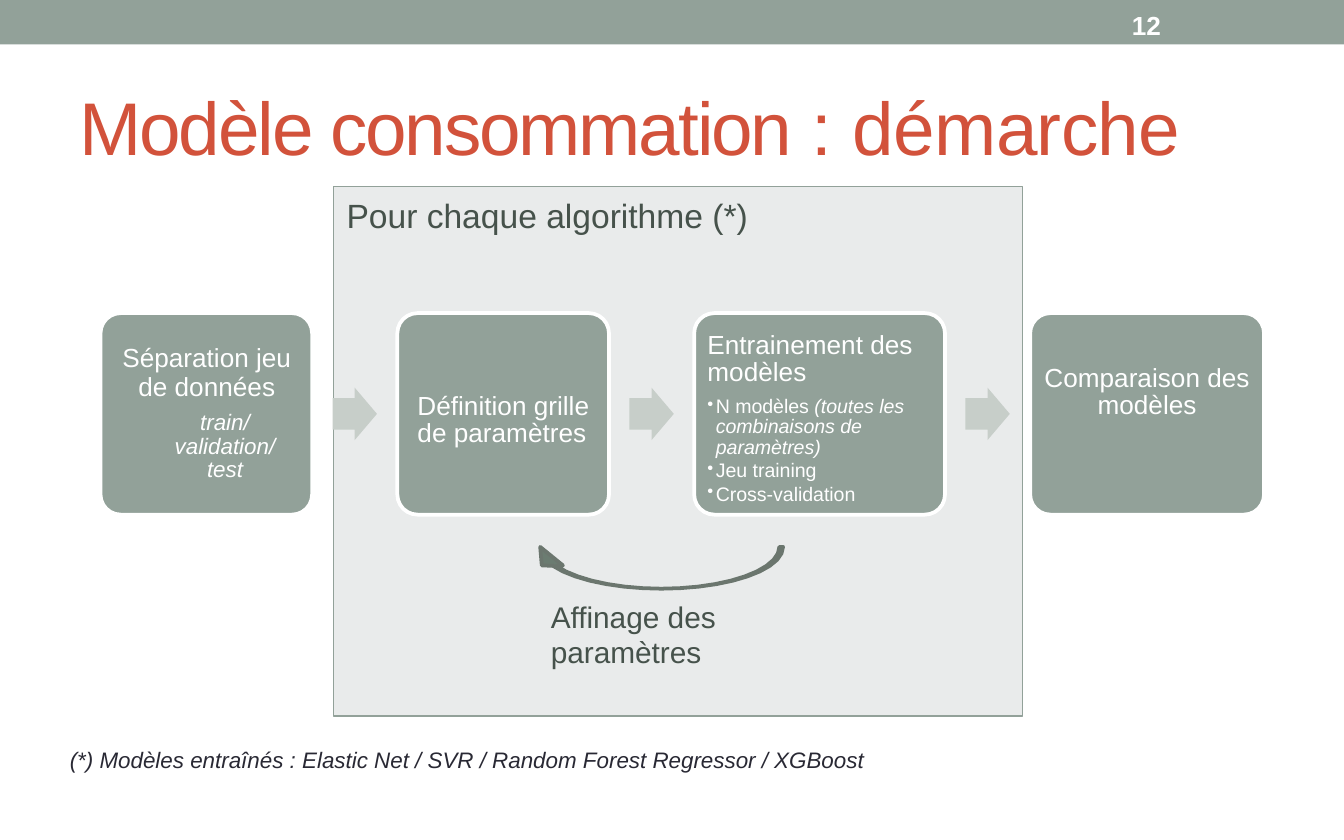
"""Builds the slide on the modelling steps for consumption."""
from math import cos, radians, sin

from lxml import etree
from pptx import Presentation
from pptx import util as u
from pptx.dml.color import RGBColor
from pptx.enum import shapes, text
from pptx.oxml.ns import qn

FONT = "Arial"
SAGE, PALE, ARROW, WHITE = "92A199", "E9EBEB", "C7CEC9", "FFFFFF"
LOOP, LOOP_EDGE, RED, DARK, INK = "6B7C71", "6B766E", "D2523B", "46524B", "292934"
CENTER = text.PP_ALIGN.CENTER

TITLE = [("Modèle consommation ", {"spacing": -1.1}), (": ", {}),
         ("démarche", {"spacing": -0.3})]

LABELS = [
    ((1.5, 1.47, 21.49, 2.69), [dict(runs=TITLE, size=40, color=RED)]),
    ((21.39, 0.11, 0.75, 0.63), [dict(runs=["12"], size=14, bold=True)]),
    ((10.41, 11.25, 3.94, 1.4),
     [dict(runs=["Affinage des paramètres"], size=16, color=DARK)]),
    ((6.55, 3.63, 8.5, 0.79),
     [dict(runs=["Pour chaque algorithme (*)"], size=18, color=DARK)]),
    ((1.32, 14.05, 20.19, 0.53),
     [dict(runs=["(*) Modèles entraînés : Elastic Net / SVR / "
                 "Random Forest Regressor / XGBoost"],
           size=12, color=INK, italic=True)]),
]

STEPS = [
    dict(width=4.0, insets=(0.27, 0.46, 0.25), paragraphs=[
        dict(runs=["Séparation jeu"], size=14, line=u.Pt(15.7), align=CENTER),
        dict(runs=["de données"], size=14, line=u.Pt(15.7), align=CENTER),
        dict(runs=["train/ validation/ test"], size=12, italic=True,
             line=0.86, before=5.6, align=CENTER, margin=0.69)]),
    dict(width=4.0, insets=(0.27, 1.41, 0.2), paragraphs=[
        dict(runs=["Définition grille de paramètres"], size=14, line=u.Pt(14.5))]),
    dict(width=4.74, insets=(0.14, 0.26, 0.45), paragraphs=[
        dict(runs=["Entrainement des modèles"], size=14, line=u.Pt(14.5)),
        dict(runs=["N modèles ",
                   ("(toutes les combinaisons de paramètres)", {"italic": True})],
             size=10.5, line=0.86, before=5.7, bullet=True),
        dict(runs=["Jeu training"], size=10.5, bullet=True),
        dict(runs=["Cross-validation"], size=10.5, bullet=True)]),
    dict(width=4.42, insets=(0.12, 0.89, 0.12), paragraphs=[
        dict(runs=["Comparaison des modèles"], size=14, line=0.86, align=CENTER)]),
]

STEP_LEFT, STEP_TOP, STEP_HEIGHT, STEP_GAP = 1.9, 5.92, 3.81, 1.61
ARROW_WIDTH, ARROW_HEIGHT = 0.84, 0.99
LOOP_X, LOOP_Y, LOOP_DEPTH, LOOP_OUTER, LOOP_INNER = 12.5, 10.34, 0.79, 2.3, 2.23
LOOP_HEAD = [(10.24, 10.69), (10.21, 10.34), (10.64, 10.69)]


def rgb(color):
    return RGBColor.from_string(color)


def paint(shape, fill, line=None, weight=0.75):
    shape.shadow.inherit = False
    shape.fill.solid()
    shape.fill.fore_color.rgb = rgb(fill)
    if line:
        shape.line.color.rgb = rgb(line)
        shape.line.width = u.Pt(weight)
    else:
        shape.line.fill.background()


def add_bullet(paragraph):
    props = paragraph._p.get_or_add_pPr()
    props.set("marL", str(u.Cm(0.16)))
    props.set("indent", str(u.Cm(-0.16)))
    tint = etree.SubElement(props, qn("a:buClr"))
    etree.SubElement(tint, qn("a:srgbClr"), val=WHITE)
    etree.SubElement(props, qn("a:buSzPct"), val="90000")
    etree.SubElement(props, qn("a:buChar"), char="•")


def write(frame, paragraphs, insets):
    frame.word_wrap = True
    frame.vertical_anchor = text.MSO_ANCHOR.TOP
    frame.margin_left, frame.margin_top, frame.margin_right = map(u.Cm, insets)
    frame.margin_bottom = 0
    for i, content in enumerate(paragraphs):
        paragraph = frame.add_paragraph() if i else frame.paragraphs[0]
        if content.get("bullet"):
            add_bullet(paragraph)
        if "margin" in content:
            paragraph._p.get_or_add_pPr().set("marL", str(u.Cm(content["margin"])))
        paragraph.alignment = content.get("align", text.PP_ALIGN.LEFT)
        if "line" in content:
            paragraph.line_spacing = content["line"]
        if "before" in content:
            paragraph.space_before = u.Pt(content["before"])
        font = paragraph.font
        font.name, font.size = FONT, u.Pt(content["size"])
        font.bold, font.italic = content.get("bold"), content.get("italic")
        font.color.rgb = rgb(content.get("color", WHITE))
        for part in content["runs"]:
            words, look = (part, {}) if isinstance(part, str) else part
            run = paragraph.add_run()
            run.text = words
            if "italic" in look:
                run.font.italic = look["italic"]
            if "spacing" in look:
                run._r.get_or_add_rPr().set("spc", str(round(look["spacing"] * 100)))


def add_block(slide, kind, box, fill, line=None, weight=0.75):
    block = slide.shapes.add_shape(kind, *map(u.Cm, box))
    paint(block, fill, line, weight)
    return block


def add_steps(slide):
    left = STEP_LEFT
    for i, step in enumerate(STEPS):
        if i:
            arrow = add_block(
                slide, shapes.MSO_SHAPE.RIGHT_ARROW,
                (left - (STEP_GAP + ARROW_WIDTH) / 2,
                 STEP_TOP + (STEP_HEIGHT - ARROW_HEIGHT) / 2,
                 ARROW_WIDTH, ARROW_HEIGHT), ARROW)
            arrow.adjustments[0] = 0.6
        card = add_block(slide, shapes.MSO_SHAPE.ROUNDED_RECTANGLE,
                         (left, STEP_TOP, step["width"], STEP_HEIGHT), SAGE, WHITE, 2)
        card.adjustments[0] = 0.1
        write(card.text_frame, step["paragraphs"], step["insets"])
        left += step["width"] + STEP_GAP


def add_loop(slide):
    def arc(radius):
        return [(LOOP_X + radius * cos(radians(a)), LOOP_Y + LOOP_DEPTH * sin(radians(a)))
                for a in range(0, 154, 9)]

    outline = arc(LOOP_OUTER) + LOOP_HEAD + arc(LOOP_INNER)[::-1]
    points = [(u.Cm(x), u.Cm(y)) for x, y in outline]
    builder = slide.shapes.build_freeform(*points[0])
    builder.add_line_segments(points[1:], close=True)
    paint(builder.convert_to_shape(), LOOP, LOOP_EDGE, 2)


def main():
    deck = Presentation()
    deck.slide_width, deck.slide_height = u.Cm(25.4), u.Cm(15.88)
    slide = deck.slides.add_slide(deck.slide_layouts[6])
    add_block(slide, shapes.MSO_SHAPE.RECTANGLE, (0, 0, 25.4, 0.84), SAGE)
    add_block(slide, shapes.MSO_SHAPE.RECTANGLE, (6.3, 3.53, 13.03, 10.01), PALE, SAGE)
    add_steps(slide)
    add_loop(slide)
    for box, paragraphs in LABELS:
        label = slide.shapes.add_textbox(*map(u.Cm, box))
        write(label.text_frame, paragraphs, (0, 0.06, 0))
    deck.save("out.pptx")


if __name__ == "__main__":
    main()
